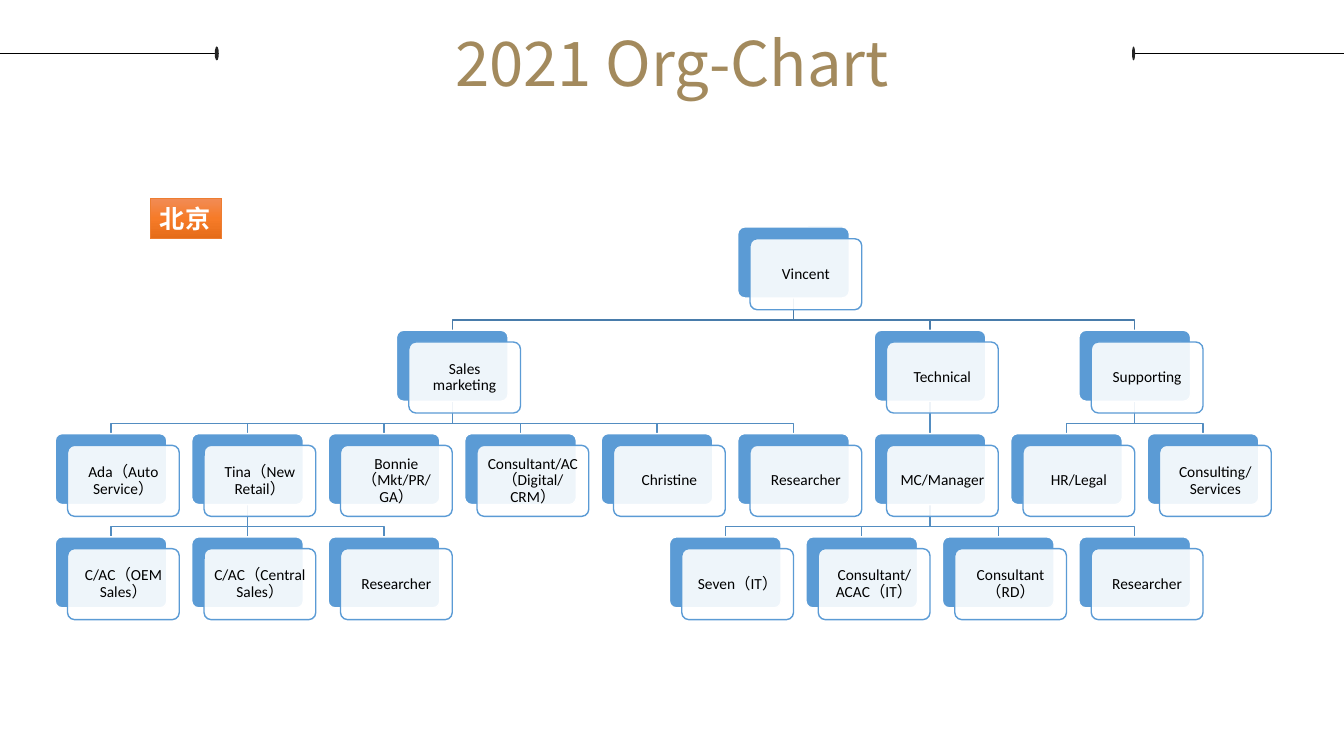
"""Build the 2021 organisation chart slide."""
from copy import deepcopy

from lxml import etree
from pptx import Presentation
from pptx.dml.color import RGBColor
from pptx.enum.shapes import MSO_CONNECTOR, MSO_SHAPE
from pptx.enum.text import MSO_ANCHOR, MSO_AUTO_SIZE, PP_ALIGN
from pptx.oxml.ns import qn
from pptx.util import Pt

TITLE = "2021 Org-Chart"
CITY = "北京"

# key: (label, level, slot, parent key)
STAFF = {
    "head": ("Vincent", 0, 5, None),
    "sales": ("Sales marketing", 1, 2.5, "head"),
    "technical": ("Technical", 1, 6, "head"),
    "supporting": ("Supporting", 1, 7.5, "head"),
    "ada": ("Ada（Auto Service）", 2, 0, "sales"),
    "tina": ("Tina（New Retail）", 2, 1, "sales"),
    "bonnie": ("Bonnie（Mkt/PR/GA）", 2, 2, "sales"),
    "digital": ("Consultant/AC（Digital/CRM）", 2, 3, "sales"),
    "christine": ("Christine", 2, 4, "sales"),
    "sales researcher": ("Researcher", 2, 5, "sales"),
    "manager": ("MC/Manager", 2, 6, "technical"),
    "legal": ("HR/Legal", 2, 7, "supporting"),
    "services": ("Consulting/Services", 2, 8, "supporting"),
    "oem": ("C/AC（OEM Sales）", 3, 0, "tina"),
    "central": ("C/AC（Central Sales）", 3, 1, "tina"),
    "retail researcher": ("Researcher", 3, 2, "tina"),
    "seven": ("Seven（IT）", 3, 4.5, "manager"),
    "it": ("Consultant/ACAC（IT）", 3, 5.5, "manager"),
    "rd": ("Consultant（RD）", 3, 6.5, "manager"),
    "technical researcher": ("Researcher", 3, 7.5, "manager"),
}

BLACK = RGBColor(0x00, 0x00, 0x00)
WHITE = RGBColor(0xFF, 0xFF, 0xFF)
DOT = RGBColor(0x25, 0x25, 0x25)
GOLD = RGBColor(0xA3, 0x8A, 0x5D)
BLUE = RGBColor(0x5B, 0x9B, 0xD5)
TOP_LINK = RGBColor(0x49, 0x7C, 0xAB)
LINK = RGBColor(0x53, 0x8D, 0xC1)
ORANGE = RGBColor(0xED, 0x7D, 0x31)
BADGE_STOPS = [(0, RGBColor(0xF1, 0x8C, 0x57)), (0.5, RGBColor(0xF6, 0x7B, 0x28)),
               (1, RGBColor(0xE5, 0x6C, 0x19))]

RECTANGLE, ROUNDED, OVAL = MSO_SHAPE.RECTANGLE, MSO_SHAPE.ROUNDED_RECTANGLE, MSO_SHAPE.OVAL
STRAIGHT = MSO_CONNECTOR.STRAIGHT
MIDDLE, TOP = MSO_ANCHOR.MIDDLE, MSO_ANCHOR.TOP
CENTER, LEFT = PP_ALIGN.CENTER, PP_ALIGN.LEFT
NO_FIT, GROW = MSO_AUTO_SIZE.NONE, MSO_AUTO_SIZE.SHAPE_TO_FIT_TEXT

FIRST_CENTER, SLOT_PITCH = 79.3, 97.5
FIRST_TOP, LEVEL_PITCH = 162.1, 73.8
CARD_WIDTH, CARD_HEIGHT = 79.8, 50.7
SHIFT_X, SHIFT_Y = 8.85, 8.4
ELBOW_GAP = 7.4
RULE_Y = 38.2

deck = Presentation()
deck.slide_width, deck.slide_height = Pt(960), Pt(540)
page = deck.slides.add_slide(deck.slide_layouts[5])


def set_all(target, values):
    for name, value in values.items():
        setattr(target, name, value)


def write(box, text, frame_values, para_values, font_values):
    frame = box.text_frame
    set_all(frame, frame_values)
    para = frame.paragraphs[0]
    set_all(para, para_values)
    span = para.add_run()
    span.text = text
    color = font_values["color"]
    set_all(span.font, {k: v for k, v in font_values.items() if k != "color"})
    span.font.color.rgb = color


def add_box(kind, left, top, width, height, fill, line=None, weight=1):
    box = page.shapes.add_shape(kind, Pt(left), Pt(top), Pt(width), Pt(height))
    box.shadow.inherit = False
    box.fill.solid()
    box.fill.fore_color.rgb = fill
    if line is None:
        box.line.fill.background()
    else:
        box.line.color.rgb = line
        box.line.width = Pt(weight)
    return box


def add_line(start_x, start_y, end_x, end_y, color, weight):
    line = page.shapes.add_connector(STRAIGHT, Pt(start_x), Pt(start_y), Pt(end_x), Pt(end_y))
    line.line.color.rgb = color
    line.line.width = Pt(weight)
    etree.SubElement(line._element.spPr, qn("a:effectLst"))
    return line


def place(key):
    level, slot = STAFF[key][1:3]
    return FIRST_CENTER + slot * SLOT_PITCH, FIRST_TOP + level * LEVEL_PITCH


def add_elbow(start_x, start_y, end_x, end_y, color):
    bend = Pt(end_y - ELBOW_GAP)
    outline = page.shapes.build_freeform(Pt(start_x), Pt(start_y))
    outline.add_line_segments(
        [(Pt(start_x), bend), (Pt(end_x), bend), (Pt(end_x), Pt(end_y))], close=False)
    elbow = outline.convert_to_shape()
    elbow.shadow.inherit = False
    elbow.fill.background()
    elbow.line.color.rgb = color
    elbow.line.width = Pt(1)


def add_links():
    straight = []
    for key, (_, level, _, parent) in STAFF.items():
        if parent is None:
            continue
        (parent_x, parent_y), (x, y) = place(parent), place(key)
        color = TOP_LINK if level == 1 else LINK
        ends = (parent_x, parent_y + CARD_HEIGHT, x, y, color)
        if x == parent_x:
            straight.append((add_line(*ends, 1), parent, key))
        else:
            add_elbow(*ends)
    return straight


def add_card(key):
    center, top = place(key)
    left = center - CARD_WIDTH / 2
    back = add_box(ROUNDED, left, top, CARD_WIDTH, CARD_HEIGHT, BLUE, WHITE)
    front = add_box(ROUNDED, left + SHIFT_X, top + SHIFT_Y, CARD_WIDTH, CARD_HEIGHT, WHITE, BLUE)
    for card in (back, front):
        card.adjustments[0] = 0.1
    white = front._element.spPr.find(qn("a:solidFill")).find(qn("a:srgbClr"))
    etree.SubElement(white, qn("a:alpha"), val="90000")
    margins = {f"margin_{side}": Pt(3.6) for side in ("left", "right", "top", "bottom")}
    write(front, STAFF[key][0],
          {"word_wrap": True, "vertical_anchor": MIDDLE, **margins},
          {"alignment": CENTER, "line_spacing": 0.9},
          {"size": Pt(11), "name": "Calibri", "color": BLACK})
    return back


def add_badge():
    badge = add_box(RECTANGLE, 107.2, 141.4, 51.3, 29.1, ORANGE, ORANGE, 0.5)
    badge.fill.gradient()
    badge.fill.gradient_angle = 270
    stops = badge._element.spPr.find(qn("a:gradFill")).find(qn("a:gsLst"))
    stops.append(deepcopy(stops[-1]))
    for stop, (position, color) in zip(badge.fill.gradient_stops, BADGE_STOPS):
        stop.position = position
        stop.color.rgb = color
    write(badge, CITY, {"word_wrap": False, "auto_size": GROW, "vertical_anchor": TOP},
          {"alignment": LEFT},
          {"size": Pt(18), "name": "Calibri", "bold": True, "color": WHITE})


title = page.shapes.title
set_all(title, {"left": Pt(151.2), "top": Pt(-7.9), "width": Pt(658), "height": Pt(77.8)})
write(title, TITLE, {"word_wrap": True, "auto_size": NO_FIT, "vertical_anchor": MIDDLE},
      {"alignment": CENTER, "line_spacing": 1.5},
      {"size": Pt(44), "name": "Noto Sans CJK SC", "color": GOLD})

for rule_start, rule_end, dot_left, dot_width in ((-1.4, 154, 153.4, 2.9), (810, 960, 808.6, 2.2)):
    add_line(rule_start, RULE_Y, rule_end, RULE_Y, BLACK, 0.75)
    add_box(OVAL, dot_left, RULE_Y - 5, dot_width, 10, DOT)

straight_links = add_links()
cards = {key: add_card(key) for key in STAFF}
for link, parent, child in straight_links:
    link.begin_connect(cards[parent], 2)
    link.end_connect(cards[child], 0)
add_badge()

deck.save("out.pptx")
